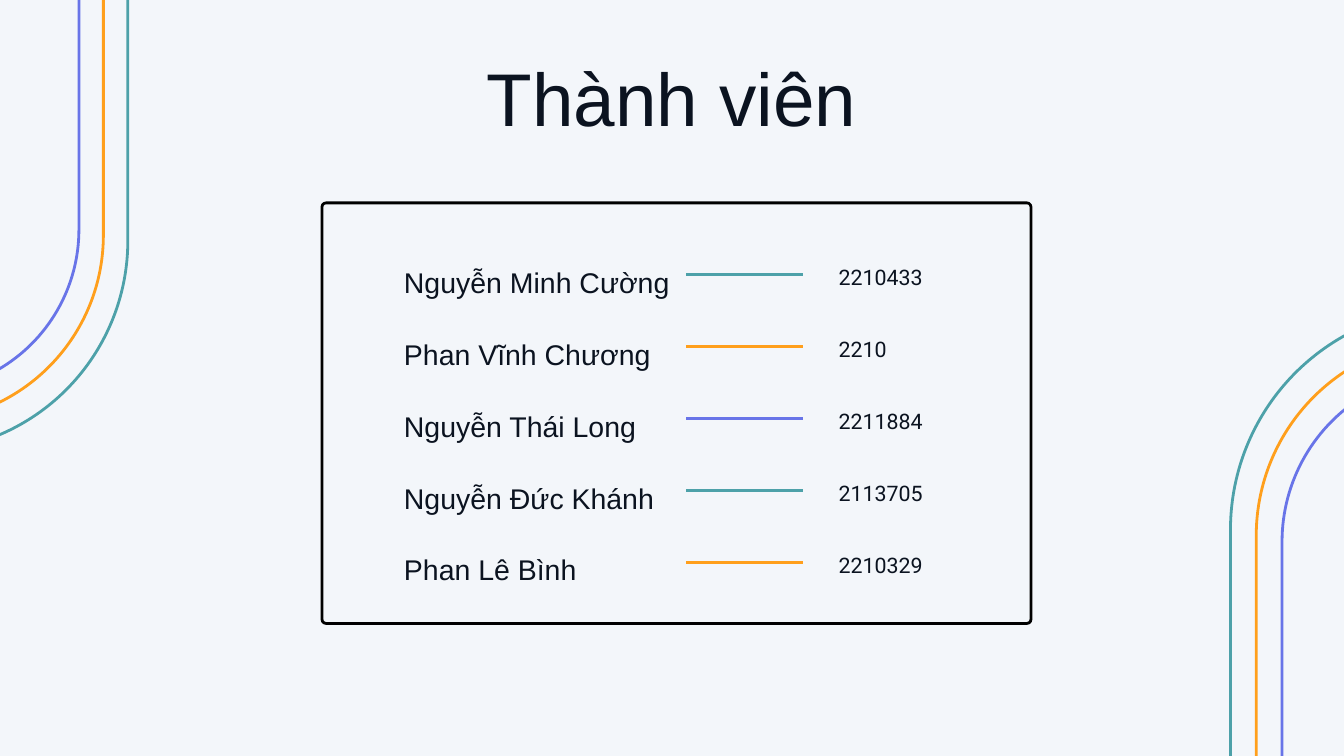
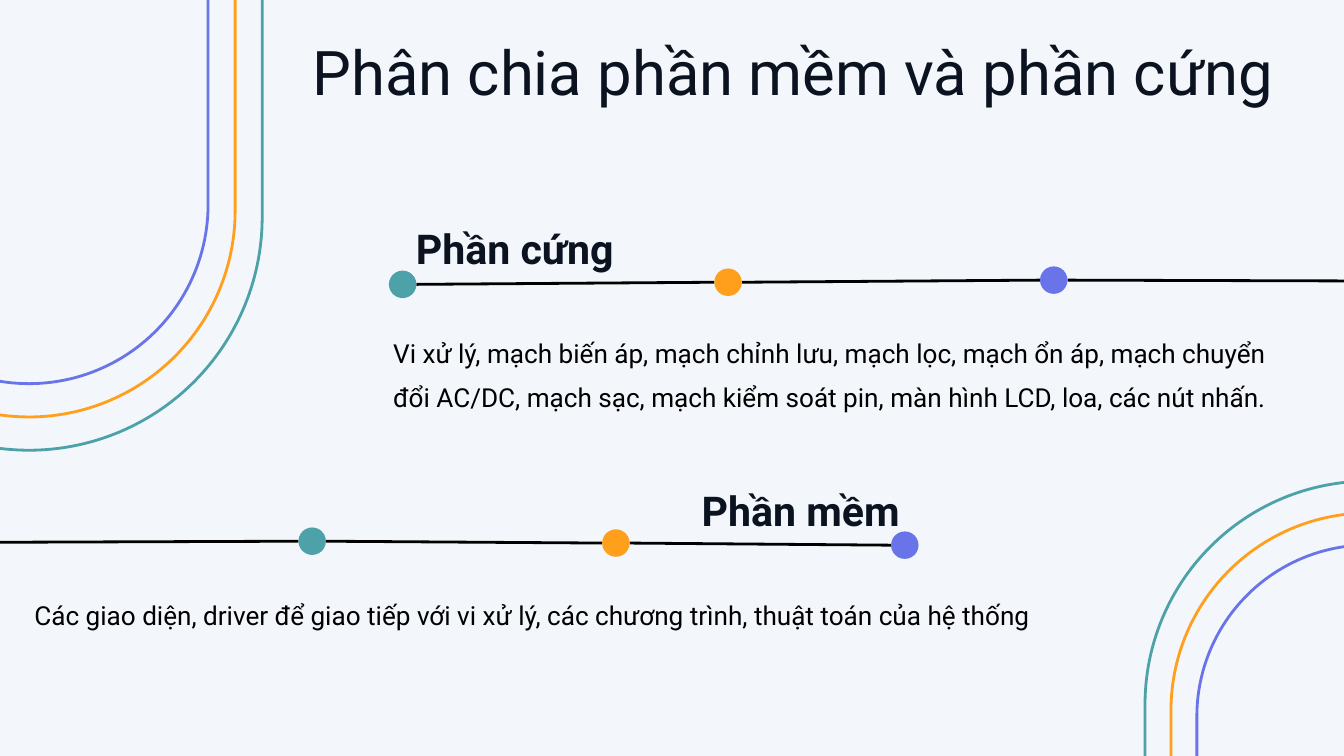
from itertools import cycle, pairwise

from lxml import etree
from pptx import Presentation
from pptx.dml.color import RGBColor
from pptx.enum.shapes import MSO_CONNECTOR, MSO_SHAPE
from pptx.enum.text import MSO_ANCHOR, MSO_AUTO_SIZE, PP_ALIGN
from pptx.oxml.ns import qn
from pptx.util import Cm, Pt

STRAIGHT = MSO_CONNECTOR.STRAIGHT
ARCH = MSO_SHAPE.ROUND_2_SAME_RECTANGLE
ROUNDED = MSO_SHAPE.ROUNDED_RECTANGLE
OVAL = MSO_SHAPE.OVAL
TOP = MSO_ANCHOR.TOP
NO_FIT = MSO_AUTO_SIZE.NONE
LEFT, CENTER = PP_ALIGN.LEFT, PP_ALIGN.CENTER

PAPER, INK, BLACK = "F3F6FA", "0B1320", "000000"
TEAL, ORANGE, VIOLET = ACCENTS = "4DA1A9", "FF9F1C", "6874E8"
STROKE = Pt(3)
TITLE_ONLY, COMPARISON = 5, 4
DOT = 1.04

MEMBERS = [
    ("Nguyễn Minh Cường", "2210433"),
    ("Phan Vĩnh Chương", "2210"),
    ("Nguyễn Thái Long", "2211884"),
    ("Nguyễn Đức Khánh", "2113705"),
    ("Phan Lê Bình", "2210329"),
]


def rgb(colour):
    return RGBColor.from_string(colour)


def lengths(box):
    return [Cm(value) for value in box]


def write(holder, text, size, font="Roboto", colour=INK, bold=False,
          spacing=1.2, align=LEFT):
    """Fill a text box or placeholder with one plain paragraph."""
    frame = holder.text_frame
    frame.word_wrap = True
    frame.auto_size = NO_FIT
    frame.vertical_anchor = TOP
    frame.margin_left = frame.margin_right = 0
    frame.margin_top = frame.margin_bottom = 0
    frame.text = text
    para = frame.paragraphs[0]
    properties = para._p.get_or_add_pPr()
    properties.set("marL", "0")
    properties.set("indent", "0")
    etree.SubElement(properties, qn("a:buNone"))
    para.alignment = align
    para.line_spacing = spacing
    para.space_before = Pt(0)
    para.font.name = font
    para.font.size = Pt(size)
    para.font.bold = bold
    para.font.color.rgb = rgb(colour)


def add_text(page, box, text, size, **style):
    write(page.shapes.add_textbox(*lengths(box)), text, size, **style)


def fill_placeholder(holder, box, text, size, **style):
    holder.left, holder.top, holder.width, holder.height = lengths(box)
    write(holder, text, size, **style)


def add_outline(page, preset, box, colour, rounding):
    shape = page.shapes.add_shape(preset, *lengths(box))
    shape.shadow.inherit = False
    shape.adjustments[0] = rounding
    shape.fill.background()
    shape.line.color.rgb = rgb(colour)
    shape.line.width = STROKE
    return shape


def add_line(page, start, end, colour):
    line = page.shapes.add_connector(STRAIGHT, *lengths((*start, *end)))
    line.line.color.rgb = rgb(colour)
    line.line.width = STROKE
    etree.SubElement(line._element.spPr, qn("a:effectLst"))


def add_dot(page, x, y, colour):
    dot = page.shapes.add_shape(
        OVAL, *lengths((x - DOT / 2, y - DOT / 2, DOT, DOT)))
    dot.shadow.inherit = False
    dot.fill.solid()
    dot.fill.fore_color.rgb = rgb(colour)
    dot.line.fill.background()


def add_arches(page, box, rotation=0):
    """Nest three arches around the centre of the box."""
    left, top, width, height = box
    for index, colour in enumerate(ACCENTS):
        scale = 1 - 0.116 * index
        inset = (1 - scale) / 2
        arch = add_outline(
            page, ARCH, (left + width * inset, top + height * inset,
                         width * scale, height * scale), colour, 0.5)
        arch.rotation = rotation


def add_member_list(page, box):
    left, top = box[:2]
    add_outline(page, ROUNDED, box, BLACK, 0.01)
    for index, ((name, number), colour) in enumerate(zip(MEMBERS, cycle(ACCENTS))):
        y = top + 2.72 * index
        add_text(page, (left + 3.1, y + 2.08, 10.67, 1.57), name, 30.5, font="Arial")
        add_text(page, (left + 19.53, y + 1.93, 18.9, 1.37), number, 22.9, spacing=1.4)
        add_line(page, (left + 13.76, y + 2.72), (left + 18.18, y + 2.72), colour)


def add_timeline(page, left, top, stops):
    """Join the stops edge to edge; a stop without a colour has no dot."""
    points = [(left + x, top + y, DOT / 2 if colour else 0, colour)
              for x, y, colour in stops]
    for (x1, y1, radius1, _), (x2, y2, radius2, _) in pairwise(points):
        add_line(page, (x1 + radius1, y1), (x2 - radius2, y2), BLACK)
    for x, y, _, colour in points:
        if colour:
            add_dot(page, x, y, colour)


def add_topic(page, box, first_index, heading, heading_x, text, text_x, stops):
    """Place a heading, its timeline and its text inside the box."""
    left, top, width, height = box
    add_timeline(page, left, top, stops)
    fill_placeholder(page.placeholders[first_index],
                     (left + heading_x, top, 9.35, 2.26), heading, 44, bold=True)
    fill_placeholder(page.placeholders[first_index + 1],
                     (left + text_x, top + 4.2, width - text_x, height - 4.2),
                     text, 28, colour=BLACK, spacing=1.4)


def members_page(deck):
    page = deck.slides.add_slide(deck.slide_layouts[TITLE_ONLY])
    fill_placeholder(page.shapes.title, (2.84, 1.27, 45.1, 4.11), "Thành viên", 80,
                     font="Arial", align=CENTER)
    add_member_list(page, (12.17, 7.67, 26.8, 15.9))
    add_arches(page, (46.51, 11.63, 16.79, 20.68))
    add_arches(page, (-11.1, -2.54, 15.93, 19.61), rotation=180)


def division_page(deck):
    page = deck.slides.add_slide(deck.slide_layouts[COMPARISON])
    fill_placeholder(page.shapes.title, (11.81, 0.71, 38.51, 3.38),
                     "Phân chia phần mềm và phần cứng", 66)
    add_topic(
        page, (14.86, 8.08, 34.16, 7.55), 1, "Phần cứng", 0.86,
        "Vi xử lý, mạch biến áp, mạch chỉnh lưu, mạch lọc, mạch ổn áp, "
        "mạch chuyển đổi AC/DC, mạch sạc, mạch kiểm soát pin, "
        "màn hình LCD, loa, các nút nhấn.", 0,
        [(0.36, 2.67, TEAL), (12.66, 2.59, ORANGE), (24.97, 2.51, VIOLET),
         (35.94, 2.54, None)])
    add_topic(
        page, (0, 17.98, 40.37, 5.88), 3, "Phần mềm", 26.52,
        "Các giao diện, driver để giao tiếp với vi xử lý, "
        "các chương trình, thuật toán của hệ thống", 1.3,
        [(0, 2.52, None), (11.8, 2.48, TEAL), (23.28, 2.55, ORANGE),
         (34.2, 2.63, VIOLET)])
    add_arches(page, (43.28, 18.19, 16.89, 20.78))
    add_arches(page, (-7.72, -4.67, 17.63, 21.69), rotation=180)


def main():
    deck = Presentation()
    deck.slide_width, deck.slide_height = Cm(50.8), Cm(28.58)
    background = deck.slide_master.background.fill
    background.solid()
    background.fore_color.rgb = rgb(PAPER)
    members_page(deck)
    division_page(deck)
    deck.save("out.pptx")


if __name__ == "__main__":
    main()
